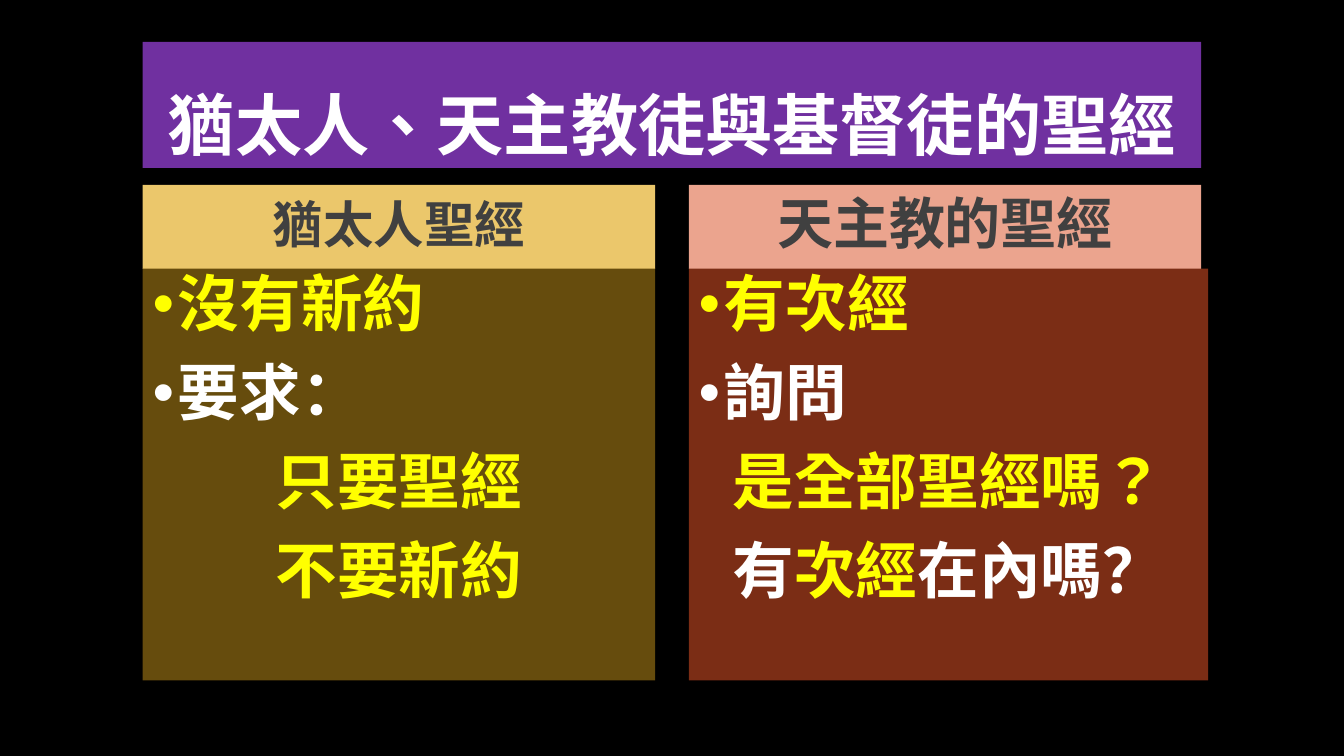
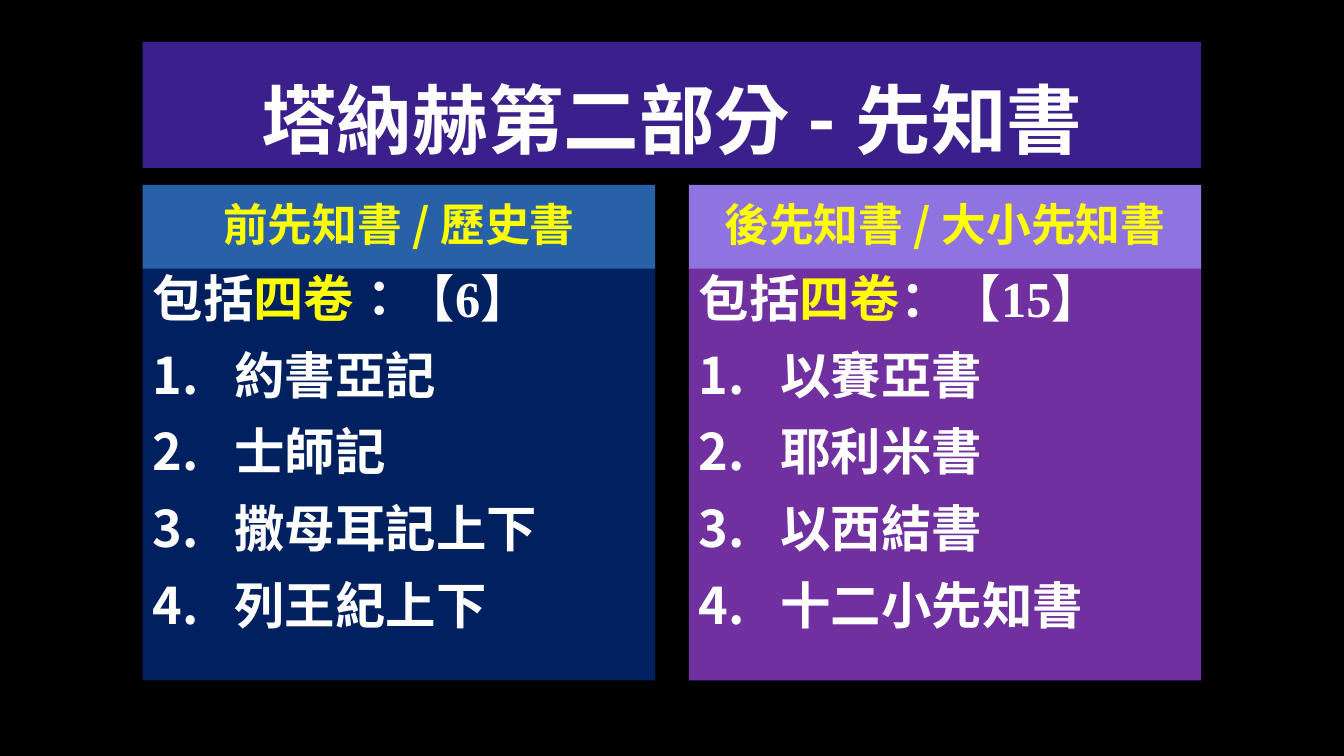
import dataclasses
import typing

import lxml.etree
import pptx
import pptx.dml.color
import pptx.enum.lang
import pptx.enum.shapes
import pptx.enum.text
import pptx.oxml.ns
import pptx.util

Pt = pptx.util.Pt
ALIGN = pptx.enum.text.PP_ALIGN
ANCHOR = pptx.enum.text.MSO_ANCHOR
LANG = pptx.enum.lang.MSO_LANGUAGE_ID


@dataclasses.dataclass(frozen=True)
class Theme:
    black: str = "000000"
    white: str = "FFFFFF"
    yellow: str = "FFFF00"
    gray: str = "404040"
    purple: str = "7030A0"
    indigo: str = "3B1F8A"
    gold: str = "EBC76B"
    brown: str = "664C0D"
    salmon: str = "EBA48E"
    rust: str = "7B2D15"
    blue: str = "2861A7"
    navy: str = "002060"
    lavender: str = "8F73DF"
    sans: str = "Noto Sans CJK TC"
    mono: str = "Courier New"
    serif: str = "Times New Roman"
    roboto: str = "Roboto"
    title: int = 48
    title_large: int = 54
    head_small: int = 32
    head: int = 36
    head_large: int = 40
    body: int = 44
    books: int = 36


T = Theme()
WIDTH, HEIGHT = 960, 540
COLUMN, GUTTER = 366, 24
CONTENT = 2 * COLUMN + GUTTER
LEFT = (WIDTH - CONTENT) / 2
TITLE_TOP, TITLE_HEIGHT = 30, 90
HEAD_TOP, HEAD_HEIGHT = 132, 60
BODY_TOP, BODY_HEIGHT = HEAD_TOP + HEAD_HEIGHT, 294


@dataclasses.dataclass(frozen=True)
class Span:
    """Text with the settings that differ from its paragraph."""
    text: str
    color: str | None = None
    font: str | None = None
    simplified: bool = False


@dataclasses.dataclass(frozen=True)
class Para:
    spans: tuple[Span, ...]
    size: int
    color: str = T.white
    font: str = T.mono
    centered: bool = False
    bullet: typing.Literal["", "dot", "number"] = ""
    indent: float = 0
    spacing: float = 0.9


@dataclasses.dataclass(frozen=True)
class Column:
    head: Para
    head_fill: str
    body: tuple[Para, ...]
    body_fill: str
    body_width: float = COLUMN


@dataclasses.dataclass(frozen=True)
class Page:
    title: Para
    title_fill: str
    columns: tuple[Column, Column]


def rgb(color: str) -> pptx.dml.color.RGBColor:
    return pptx.dml.color.RGBColor.from_string(color)


def add_child(parent: typing.Any, tag: str, **attrs: str) -> None:
    child = lxml.etree.SubElement(parent, pptx.oxml.ns.qn(tag))
    for name, value in attrs.items():
        child.set(name, value)


def fill_paragraph(p: typing.Any, para: Para, first: bool) -> None:
    p.alignment = ALIGN.CENTER if para.centered else ALIGN.LEFT
    p.line_spacing = para.spacing
    p.space_before = Pt(0 if first else 16)
    ppr = p._p.get_or_add_pPr()
    if para.indent:
        ppr.set("marL", str(Pt(para.indent)))
        ppr.set("indent", str(-Pt(para.indent)))
    if para.bullet == "dot":
        add_child(ppr, "a:buFont", typeface="Arial")
        add_child(ppr, "a:buChar", char="•")
    elif para.bullet == "number":
        add_child(ppr, "a:buFont", typeface=T.sans)
        add_child(ppr, "a:buAutoNum", type="arabicPeriod")
    p.font.size = Pt(para.size)
    p.font.bold = True
    p.font.color.rgb = rgb(para.color)
    p.font.name = para.font
    add_child(ppr.find(pptx.oxml.ns.qn("a:defRPr")), "a:ea", typeface=T.sans)
    for span in para.spans:
        r = p.add_run()
        r.text = span.text
        r.font.language_id = (LANG.SIMPLIFIED_CHINESE if span.simplified
                              else LANG.TRADITIONAL_CHINESE)
        if span.color:
            r.font.color.rgb = rgb(span.color)
        if span.font:
            r.font.name = span.font


def add_panel(slide: typing.Any, left: float, top: float, width: float, height: float,
              fill: str, anchor: ANCHOR, paras: tuple[Para, ...]) -> None:
    sp = slide.shapes.add_shape(pptx.enum.shapes.MSO_SHAPE.RECTANGLE,
                                Pt(left), Pt(top), Pt(width), Pt(height))
    sp.shadow.inherit = False
    sp.fill.solid()
    sp.fill.fore_color.rgb = rgb(fill)
    sp.line.fill.background()
    tf = sp.text_frame
    tf.word_wrap = True
    tf.vertical_anchor = anchor
    for i, para in enumerate(paras):
        p = tf.add_paragraph() if i else tf.paragraphs[0]
        fill_paragraph(p, para, first=i == 0)


def add_page(prs: typing.Any, page: Page) -> None:
    slide = prs.slides.add_slide(prs.slide_layouts[6])
    slide.background.fill.solid()
    slide.background.fill.fore_color.rgb = rgb(T.black)
    add_panel(slide, LEFT, TITLE_TOP, CONTENT, TITLE_HEIGHT,
              page.title_fill, ANCHOR.BOTTOM, (page.title,))
    for i, column in enumerate(page.columns):
        left = LEFT + i * (COLUMN + GUTTER)
        add_panel(slide, left, HEAD_TOP, COLUMN, HEAD_HEIGHT,
                  column.head_fill, ANCHOR.MIDDLE, (column.head,))
        add_panel(slide, left, BODY_TOP, column.body_width, BODY_HEIGHT,
                  column.body_fill, ANCHOR.TOP, column.body)


def title(*spans: Span, size: int, font: str) -> Para:
    return Para(spans, size, font=font, centered=True, spacing=0.8)


def head(text: str, size: int, color: str, font: str) -> Para:
    return Para((Span(text),), size, color, font, centered=True)


def point(*spans: Span, color: str = T.white) -> Para:
    return Para(spans, T.body, color, bullet="dot", indent=18)


def answer(*spans: Span, color: str = T.yellow) -> Para:
    return Para(spans, T.body, color, centered=True, indent=18)


def book_list(count: str, books: tuple[str, ...], simplified: bool = False) -> tuple[Para, ...]:
    """A line with the count, then the numbered books."""
    intro = Para((Span("包括"), Span("四卷", T.yellow), Span("：【", simplified=simplified),
                  Span(count, font=T.serif), Span("】")), T.books, font=T.sans, indent=18)
    return (intro, *(Para((Span(book),), T.books, font=T.serif, bullet="number", indent=58.5)
                     for book in books))


PAGES = (
    Page(
        title(Span("猶太人、天主教徒與基督徒"), Span("的聖經", font=T.mono),
              size=T.title, font=T.sans),
        T.purple,
        (
            Column(head("猶太人聖經", T.head, T.gray, T.mono), T.gold,
                   (point(Span("沒有新約"), color=T.yellow),
                    point(Span("要求：", simplified=True)),
                    answer(Span("只要聖經")),
                    answer(Span("不要新約"))), T.brown),
            Column(head("天主教的聖經", T.head_large, T.gray, T.mono), T.salmon,
                   (point(Span("有次經"), color=T.yellow),
                    point(Span("詢問")),
                    answer(Span("是全部聖經嗎？")),
                    answer(Span("有"), Span("次經", T.yellow),
                           Span("在內嗎？", simplified=True), color=T.white)),
                   T.rust, body_width=371),
        ),
    ),
    Page(
        title(Span("塔納赫第二部分 - 先知書"), size=T.title_large, font=T.roboto),
        T.indigo,
        (
            Column(head("前先知書 / 歷史書", T.head_small, T.yellow, T.sans), T.blue,
                   book_list("6", ("約書亞記", "士師記", "撒母耳記上下", "列王紀上下")),
                   T.navy),
            Column(head("後先知書 / 大小先知書", T.head_small, T.yellow, T.sans), T.lavender,
                   book_list("15", ("以賽亞書", "耶利米書", "以西結書", "十二小先知書"),
                             simplified=True),
                   T.purple),
        ),
    ),
)


def main() -> None:
    prs = pptx.Presentation()
    prs.slide_width, prs.slide_height = Pt(WIDTH), Pt(HEIGHT)
    for page in PAGES:
        add_page(prs, page)
    prs.save("out.pptx")


if __name__ == "__main__":
    main()
